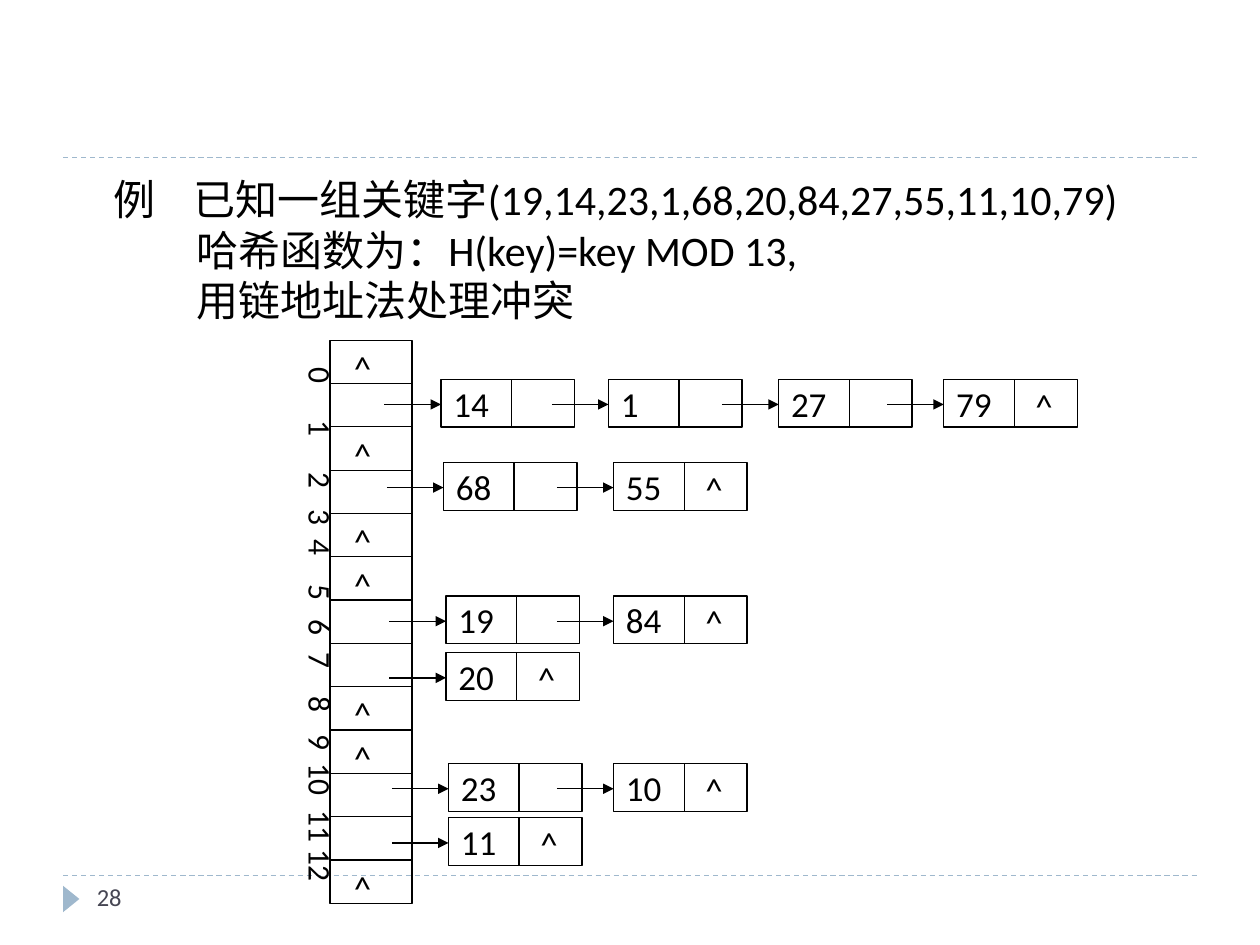
"""Build a slide showing a hash table whose collisions are resolved by chaining."""
import pptx
import pptx.dml.color
import pptx.enum.dml
import pptx.enum.shapes
import pptx.enum.text
import pptx.oxml
import pptx.oxml.ns
import pptx.util

Inches = pptx.util.Inches
BLACK = pptx.dml.color.RGBColor(0x00, 0x00, 0x00)
ACCENT = pptx.dml.color.RGBColor(0x9F, 0xB8, 0xCD)
SLATE = pptx.dml.color.RGBColor(0x46, 0x46, 0x53)

presentation = pptx.Presentation()
presentation.slide_width, presentation.slide_height = Inches(10), Inches(7.5)
slide = presentation.slides.add_slide(presentation.slide_layouts[6])
shapes = slide.shapes


def add_line(x1, y1, x2, y2, color=BLACK, dash=None, arrow=False):
    line = shapes.add_connector(
        pptx.enum.shapes.MSO_CONNECTOR.STRAIGHT,
        Inches(x1), Inches(y1), Inches(x2), Inches(y2))
    line.line.color.rgb = color
    line.line.width = pptx.util.Pt(0.75)
    line.line.dash_style = dash
    if arrow:
        outline = line.line._get_or_add_ln()
        pptx.oxml.ns.qn("a:tailEnd")
        outline.append(pptx.oxml.parse_xml(
            f'<a:tailEnd {pptx.oxml.ns.nsdecls("a")} type="triangle"/>'))
    line._element.spPr.append(pptx.oxml.parse_xml(
        f'<a:effectLst {pptx.oxml.ns.nsdecls("a")}/>'))


def add_box(left, top, width, height, text="", size=20, color=BLACK, outlined=False):
    place = [Inches(value) for value in (left, top, width, height)]
    if outlined:
        shape = shapes.add_shape(pptx.enum.shapes.MSO_SHAPE.RECTANGLE, *place)
        shape.shadow.inherit = False
        shape.fill.background()
        shape.line.color.rgb = BLACK
        shape.line.width = pptx.util.Pt(0.75)
    else:
        shape = shapes.add_textbox(*place)
    shape.text_frame.word_wrap = False
    shape.text_frame.text = text
    for paragraph in shape.text_frame.paragraphs:
        paragraph.alignment = pptx.enum.text.PP_ALIGN.LEFT
        for run in paragraph.runs:
            run.font.size = pptx.util.Pt(size)
            run.font.name = "Calibri"
            run.font.color.rgb = color
    return shape


for y in (6.95, 1.25):
    add_line(0.5, y, 9.5, y, ACCENT, pptx.enum.dml.MSO_LINE.DASH)
marker = shapes.add_shape(
    pptx.enum.shapes.MSO_SHAPE.ISOSCELES_TRIANGLE,
    Inches(0.46), Inches(7.07), Inches(0.21), Inches(0.13))
marker.rotation = 90
marker.shadow.inherit = False
marker.fill.solid()
marker.fill.fore_color.rgb = ACCENT
marker.line.fill.background()
add_box(0.67, 6.95, 2.17, 0.4, "28", 14, SLATE)

problem = add_box(
    0.8, 1.33, 8.81, 1.3,
    "例\t已知一组关键字(19,14,23,1,68,20,84,27,55,11,10,79)\n"
    "哈希函数为：H(key)=key MOD 13,\n用链地址法处理冲突", 24)
problem.text_frame.word_wrap = True
for paragraph in problem.text_frame.paragraphs[1:]:
    paragraph._p.get_or_add_pPr().set("marL", str(Inches(0.66)))

TABLE_LEFT, TABLE_TOP, TABLE_WIDTH, TABLE_HEIGHT = 2.62, 2.7, 0.65, 4.47
BUCKETS = 13
ROW = TABLE_HEIGHT / BUCKETS
add_box(TABLE_LEFT, TABLE_TOP, TABLE_WIDTH, TABLE_HEIGHT, outlined=True)
for bucket in range(1, BUCKETS):
    y = TABLE_TOP + bucket * ROW
    add_line(TABLE_LEFT, y, TABLE_LEFT + TABLE_WIDTH, y)

indices = add_box(2.25, 2.82, 0.5, 4.4, "\t".join(map(str, range(BUCKETS))), 18)
indices.text_frame.word_wrap = True
indices.text_frame.margin_left = indices.text_frame.margin_right = Inches(0.05)
indices.text_frame.margin_top = indices.text_frame.margin_bottom = Inches(0.1)
indices.text_frame._txBody.bodyPr.set("vert", "eaVert")

INDEX_STOPS = (0.42, 0.83, 1.12, 1.36, 1.72, 2.0, 2.26, 2.61, 2.91, 3.14, 3.51, 3.82)
for shape, stops in ((problem, (0.64,)), (indices, INDEX_STOPS)):
    tabs = "".join(f'<a:tab pos="{Inches(stop)}" algn="l"/>' for stop in stops)
    shape.text_frame.paragraphs[0]._p.get_or_add_pPr().append(pptx.oxml.parse_xml(
        f'<a:tabLst {pptx.oxml.ns.nsdecls("a")}>{tabs}</a:tabLst>'))

NODE_WIDTH, NODE_HEIGHT, KEY_WIDTH, ARROW = 1.06, 0.38, 0.56, 0.45
chains = {
    1: (3.01, ((3.5, 14), (4.83, 1), (6.18, 27), (7.49, 79))),
    3: (3.67, ((3.52, 68), (4.87, 55))),
    6: (4.73, ((3.54, 19), (4.87, 84))),
    7: (5.18, ((3.54, 20),)),
    10: (6.06, ((3.56, 23), (4.87, 10))),
    11: (6.49, ((3.56, 11),)),
}
for top, nodes in chains.values():
    for left, key in nodes:
        node = add_box(left, top, NODE_WIDTH, NODE_HEIGHT, str(key), outlined=True)
        node.text_frame.vertical_anchor = pptx.enum.text.MSO_ANCHOR.MIDDLE
        add_line(left + KEY_WIDTH, top, left + KEY_WIDTH, top + NODE_HEIGHT)
        add_line(left - ARROW, top + 0.2, left, top + 0.2, arrow=True)
    add_box(nodes[-1][0] + 0.63, top - 0.01, 0.36, 0.44, "^")

for bucket in range(BUCKETS):
    if bucket not in chains:
        add_box(2.71, TABLE_TOP + bucket * ROW, 0.36, 0.44, "^")

presentation.save("out.pptx")
